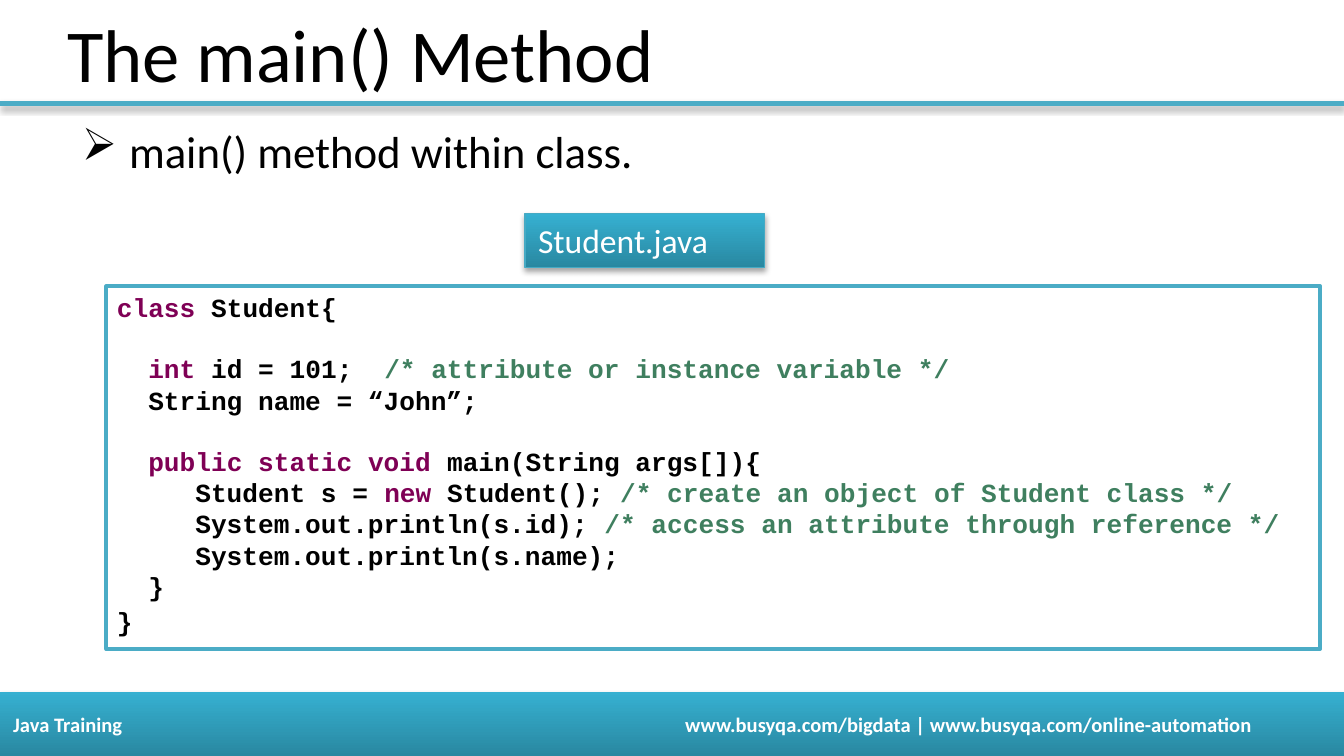
from lxml import etree
from pptx import Presentation
from pptx.dml.color import RGBColor
from pptx.enum.shapes import MSO_CONNECTOR, MSO_SHAPE
from pptx.enum.text import MSO_ANCHOR, PP_ALIGN
from pptx.oxml.ns import qn
from pptx.util import Cm, Pt

RECTANGLE = MSO_SHAPE.RECTANGLE
STRAIGHT = MSO_CONNECTOR.STRAIGHT
TOP, MIDDLE = MSO_ANCHOR.TOP, MSO_ANCHOR.MIDDLE
LEFT = PP_ALIGN.LEFT

COLORS = {
    "accent": "4BACC6",
    "label line": "46AAC4",
    "dark": "2988A1",
    "light": "36B0D1",
    "white": "FFFFFF",
    "plain": "000000",
    "keyword": "7F0055",
    "comment": "3F7F5F",
}
COLORS = {name: RGBColor.from_string(value) for name, value in COLORS.items()}


def add_soft_shadow(shape):
    effects = etree.SubElement(shape._element.spPr, qn("a:effectLst"))
    shadow = etree.SubElement(effects, qn("a:outerShdw"), blurRad="40000",
                              dist="23000", dir="5400000", rotWithShape="0")
    color = etree.SubElement(shadow, qn("a:srgbClr"), val=str(COLORS["plain"]))
    etree.SubElement(color, qn("a:alpha"), val="35000")


def style_text(shape, text, size, color, anchor=TOP, bold=False):
    """Fill the shape with one left-aligned paragraph and return it."""
    frame = shape.text_frame
    frame.word_wrap = True
    frame.vertical_anchor = anchor
    paragraph = frame.paragraphs[0]
    paragraph.text = text
    paragraph.alignment = LEFT
    font = paragraph.font
    font.name, font.size, font.bold = "Calibri", Pt(size), bold
    font.color.rgb = COLORS[color]
    return paragraph


presentation = Presentation()
presentation.slide_width = Cm(25.4)
presentation.slide_height = Cm(14.29)
slide = presentation.slides.add_slide(presentation.slide_layouts[6])
shapes = slide.shapes

# Rule under the title
rule = shapes.add_connector(STRAIGHT, Cm(0), Cm(1.96), Cm(25.4), Cm(1.96))
rule.line.color.rgb = COLORS["accent"]
rule.line.width = Pt(3)
add_soft_shadow(rule)

# Footer band and file label share the gradient
footer = shapes.add_shape(RECTANGLE, Cm(0), Cm(13.08), Cm(25.4), Cm(1.21))
footer.line.fill.background()
file_label = shapes.add_shape(RECTANGLE, Cm(9.92), Cm(4.04), Cm(4.53), Cm(1.02))
file_label.line.color.rgb = COLORS["label line"]
file_label.line.width = Pt(0.75)
for shape in (footer, file_label):
    shape.fill.gradient()
    shape.fill.gradient_angle = 90
    for stop, name in zip(shape.fill.gradient_stops, ("dark", "light")):
        stop.color.rgb = COLORS[name]
    add_soft_shadow(shape)

footer_text = "Java Training\twww.busyqa.com/bigdata | www.busyqa.com/online-automation"
footer.text_frame.text = footer_text
footer_properties = footer.text_frame.paragraphs[0]._p.get_or_add_pPr()
tabs = etree.SubElement(footer_properties, qn("a:tabLst"))
etree.SubElement(tabs, qn("a:tab"), pos=str(Cm(12.7)), algn="l")
style_text(footer, footer_text, 11, "white", MIDDLE, bold=True)
style_text(file_label, "Student.java", 18, "white")

# Title and bullet
title = shapes.add_textbox(Cm(1.02), Cm(0.15), Cm(12.27), Cm(1.7))
style_text(title, "The main() Method", 40, "plain", MIDDLE)

bullet_box = shapes.add_textbox(Cm(1.22), Cm(2.21), Cm(12.01), Cm(1.3))
bullet_properties = bullet_box.text_frame.paragraphs[0]._p.get_or_add_pPr()
bullet_properties.set("marL", str(Cm(0.97)))
bullet_properties.set("indent", str(Cm(-0.89)))
etree.SubElement(bullet_properties, qn("a:buChar"), char="➢")
style_text(bullet_box, "main() method within class.", 24, "plain")

# Code listing: space before each line in points, then its coloured pieces
BLANK_LINE = 15.9
CODE = [
    (0, [("keyword", "class"), ("plain", " Student{")]),
    (BLANK_LINE, [("plain", "  "), ("keyword", "int"), ("plain", " id = 101;  "),
                  ("comment", "/* attribute or instance variable */")]),
    (0, [("plain", "  String name = “John”;")]),
    (BLANK_LINE, [("plain", "  "), ("keyword", "public static void"),
                  ("plain", " main(String args[]){")]),
    (0, [("plain", "     Student s = "), ("keyword", "new"), ("plain", " Student(); "),
         ("comment", "/* create an object of Student class */")]),
    (0, [("plain", "     System.out.println(s.id); "),
         ("comment", "/* access an attribute through reference */")]),
    (0, [("plain", "     System.out.println(s.name);")]),
    (0, [("plain", "  }")]),
    (2, [("plain", "}")]),
]
code_box = shapes.add_shape(RECTANGLE, Cm(2.01), Cm(5.41), Cm(22.94), Cm(6.86))
code_box.shadow.inherit = False
code_box.fill.solid()
code_box.fill.fore_color.rgb = COLORS["white"]
code_box.line.color.rgb = COLORS["accent"]
code_box.line.width = Pt(2)
frame = code_box.text_frame
frame.word_wrap = True
frame.vertical_anchor = TOP
frame.margin_left = frame.margin_right = Cm(0.2)
frame.margin_top = frame.margin_bottom = Cm(0.1)
for number, (space, pieces) in enumerate(CODE):
    paragraph = frame.add_paragraph() if number else frame.paragraphs[0]
    paragraph.alignment = LEFT
    paragraph.space_before = Pt(space)
    font = paragraph.font
    font.name, font.size, font.bold = "Courier New", Pt(14), True
    for color, text in pieces:
        run = paragraph.add_run()
        run.text = text
        run.font.color.rgb = COLORS[color]

presentation.save("out.pptx")
